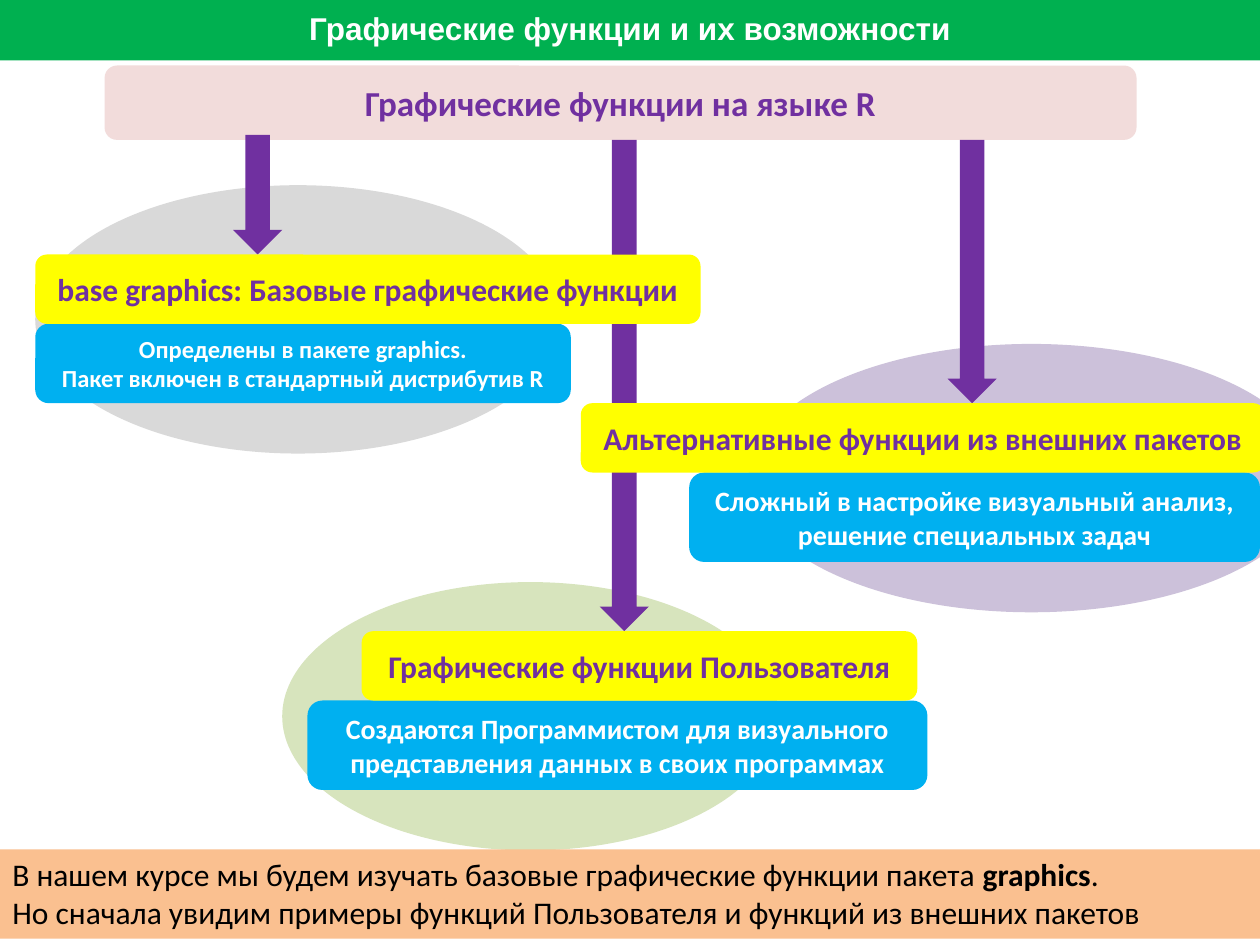
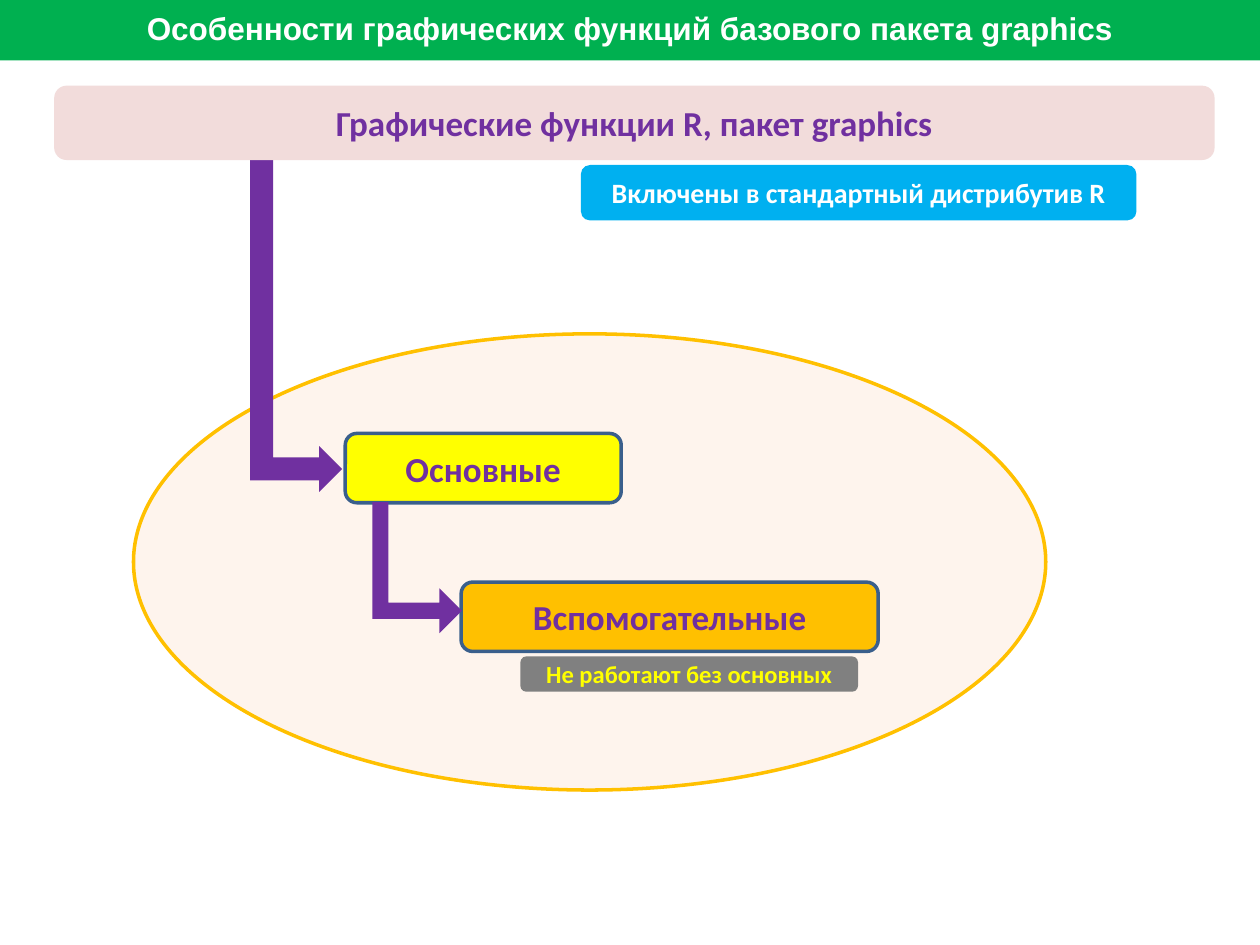
from dataclasses import dataclass

from lxml.etree import SubElement
from pptx import Presentation
from pptx.dml.color import RGBColor
from pptx.enum.shapes import MSO_SHAPE
from pptx.enum.text import MSO_ANCHOR, MSO_AUTO_SIZE, PP_ALIGN
from pptx.oxml.ns import qn
from pptx.util import Inches, Pt

# Grid: 100 columns by 75 rows over the whole slide
COLUMNS, ROWS = 100, 75
SLIDE_WIDTH, SLIDE_HEIGHT = Inches(10), Inches(7.5)
BREAK = "\n"


class Theme:
    green, rose, purple = "00B050", "F2DCDB", "7030A0"
    yellow, blue, peach = "FFFF00", "00B0F0", "FAC090"
    amber, navy, gray = "FFC000", "3A5F8C", "808080"
    cream, white, black = "FDEADA", "FFFFFF", "000000"
    olive_halo, violet_halo, gray_halo = "D7E4BD", "CCC1DA", "D9D9D9"
    outline_width = 2
    cream_opacity = 48
    title = {"size": 18, "name": "Arial", "color": white, "bold": True}
    root = {"size": 20, "name": "Calibri", "color": purple, "bold": True}
    heading = {**root, "size": 18}
    note = {**root, "size": 16, "color": white}
    small_note = {**note, "size": 14}
    warning = {**small_note, "color": yellow}
    footer = {**heading, "color": black, "bold": False}


@dataclass
class Box:
    left: float
    top: float
    width: float
    height: float

    def inside(self, left, top, width, height):
        """Box offset from this one's top left corner."""
        return Box(self.left + left, self.top + top, width, height)

    def frame(self):
        column, row = SLIDE_WIDTH / COLUMNS, SLIDE_HEIGHT / ROWS
        return {
            "left": round(self.left * column),
            "top": round(self.top * row),
            "width": round(self.width * column),
            "height": round(self.height * row),
        }


@dataclass
class Branch:
    heading_box: Box
    heading: str
    note_span: tuple  # left offset from the heading, width, height
    note: list
    note_style: dict
    halo_offset: tuple  # left, top, width
    halo_color: str
    arrow_offset: float
    arrow_top: float


BRANCHES = [
    Branch(Box(28.7, 50.1, 44.1, 5.5), "Графические функции Пользователя",
           (-4.3, 49.2, 7.1),
           ["Создаются Программистом для визуального "
            "представления данных в своих программах"],
           Theme.note, (-6.3, -3.9, 39.4), Theme.olive_halo, 18.9, 11.1),
    Branch(Box(46.1, 32, 54.3, 5.5), "Альтернативные функции из внешних пакетов",
           (8.6, 45.3, 7.1),
           [("Сложный в настройке визуальный анализ,", BREAK,
             "решение специальных задач")],
           Theme.note, (13.3, -4.7, 44.9), Theme.violet_halo, 29.1, 11.1),
    Branch(Box(2.8, 20.2, 52.8, 5.5), "base graphics: Базовые графические функции",
           (0, 42.5, 6.3),
           ["Определены в пакете graphics.",
            "Пакет включен в стандартный дистрибутив R"],
           Theme.small_note, (0, -5.5, 41.7), Theme.gray_halo, 15.7, 10.7),
]
HALO_HEIGHT = 21.3
ARROW_WIDTH = 3.9


def write_text(shape, lines, style, align=PP_ALIGN.CENTER, anchor=MSO_ANCHOR.MIDDLE):
    text_frame = shape.text_frame
    frame_format = {"word_wrap": True, "auto_size": MSO_AUTO_SIZE.NONE,
                    "vertical_anchor": anchor}
    for name, value in frame_format.items():
        setattr(text_frame, name, value)
    font_format = {"size": Pt(style["size"]), "name": style["name"], "bold": style["bold"]}
    for index, line in enumerate(lines):
        paragraph = text_frame.add_paragraph() if index else text_frame.paragraphs[0]
        paragraph.alignment = align
        for part in [line] if isinstance(line, str) else line:
            if part == BREAK:
                paragraph.add_line_break()
                continue
            run = paragraph.add_run()
            run.text = part
            for name, value in font_format.items():
                setattr(run.font, name, value)
            run.font.color.rgb = RGBColor.from_string(style["color"])


def paint(shape, fill, line=None):
    shape.fill.solid()
    shape.fill.fore_color.rgb = RGBColor.from_string(fill)
    if line:
        shape.line.color.rgb = RGBColor.from_string(line)
        shape.line.width = Pt(Theme.outline_width)
    else:
        shape.line.fill.background()


def add_preset(slide, preset, box, fill, line=None):
    shape = slide.shapes.add_shape(preset, **box.frame())
    shape.shadow.inherit = False
    paint(shape, fill, line)
    return shape


def add_card(slide, box, lines, style, fill, line=None):
    card = add_preset(slide, MSO_SHAPE.ROUNDED_RECTANGLE, box, fill, line)
    write_text(card, lines, style)


def add_elbow(slide, box, shaft=0.25):
    """Arrow going down, then right, filling the box as it shows after rotation."""
    turn = (box.width - box.height) / 2
    unrotated = box.inside(turn, -turn, box.height, box.width)
    elbow = add_preset(slide, MSO_SHAPE.BENT_UP_ARROW, unrotated, Theme.purple)
    elbow.rotation = 90
    elbow.adjustments[0] = shaft


def add_titled_slide(presentation, title_text):
    slide = presentation.slides.add_slide(presentation.slide_layouts[5])
    title = slide.shapes.title
    for name, value in Box(0, -0.3, COLUMNS, 5.1).frame().items():
        setattr(title, name, value)
    paint(title, Theme.green)
    write_text(title, [title_text], Theme.title)
    return slide


# Branches of the overview
def add_halo(slide, branch):
    left, top, width = branch.halo_offset
    box = branch.heading_box.inside(left, top, width, HALO_HEIGHT)
    add_preset(slide, MSO_SHAPE.OVAL, box, branch.halo_color)


def add_branch_arrow(slide, branch):
    rise = branch.heading_box.top - branch.arrow_top
    box = branch.heading_box.inside(branch.arrow_offset, -rise, ARROW_WIDTH, rise)
    add_preset(slide, MSO_SHAPE.DOWN_ARROW, box, Theme.purple)


def add_branch_cards(slide, branch):
    box = branch.heading_box
    left, width, height = branch.note_span
    add_card(slide, box.inside(left, box.height, width, height),
             branch.note, branch.note_style, Theme.blue)
    add_card(slide, box, [branch.heading], Theme.heading, Theme.yellow)


def add_footer(slide, box):
    footer = add_preset(slide, MSO_SHAPE.RECTANGLE, box, Theme.peach)
    lines = [
        ("В нашем курсе мы будем изучать базовые графические функции пакета ",
         "graphics", "."),
        "Но сначала увидим примеры функций Пользователя и функций из внешних пакетов",
    ]
    write_text(footer, lines, Theme.footer, PP_ALIGN.LEFT, MSO_ANCHOR.TOP)
    footer.text_frame.paragraphs[0].runs[1].font.bold = True


def build_overview(presentation):
    slide = add_titled_slide(presentation, "Графические функции и их возможности")
    for branch in BRANCHES:
        add_halo(slide, branch)
    add_card(slide, Box(8.3, 5.2, 81.9, 5.9), ["Графические функции на языке R"],
             Theme.root, Theme.rose)
    # Arrows pass behind every card
    for add_part in (add_branch_arrow, add_branch_cards):
        for branch in BRANCHES:
            add_part(slide, branch)
    add_footer(slide, Box(0, 67.4, COLUMNS, 7.1))


# Function kinds of the package, placed from the oval's corner
def add_function_kinds(slide, box):
    oval = add_preset(slide, MSO_SHAPE.OVAL, box, Theme.cream, Theme.amber)
    color = oval.fill._xPr.find(qn("a:solidFill"))[0]
    SubElement(color, qn("a:alpha"), val=str(Theme.cream_opacity * 1000))
    add_card(slide, box.inside(16.8, 7.9, 21.9, 5.5), ["Основные"],
             Theme.root, Theme.yellow, Theme.navy)
    add_elbow(slide, box.inside(9.25, -13.85, 7.3, 26.4))
    add_card(slide, box.inside(26, 19.7, 33.1, 5.5), ["Вспомогательные"],
             Theme.root, Theme.amber, Theme.navy)
    add_elbow(slide, box.inside(18.95, 13.35, 7.1, 10.4), shaft=0.18)
    add_card(slide, box.inside(30.7, 25.6, 26.8, 2.8), ["Не работают без основных"],
             Theme.warning, Theme.gray)


def build_package(presentation):
    slide = add_titled_slide(
        presentation, "Особенности графических функций базового пакета graphics")
    add_function_kinds(slide, Box(10.6, 26.5, 72.4, 36.2))
    root = Box(4.3, 6.8, 92.1, 5.9)
    add_card(slide, root, ["Графические функции R, пакет graphics"],
             Theme.root, Theme.rose)
    add_card(slide, root.inside(41.8, 6.3, 44.1, 4.4),
             ["Включены в стандартный дистрибутив R"], Theme.note, Theme.blue)


def main():
    presentation = Presentation()
    presentation.slide_width, presentation.slide_height = SLIDE_WIDTH, SLIDE_HEIGHT
    build_overview(presentation)
    build_package(presentation)
    presentation.save("out.pptx")


if __name__ == "__main__":
    main()
